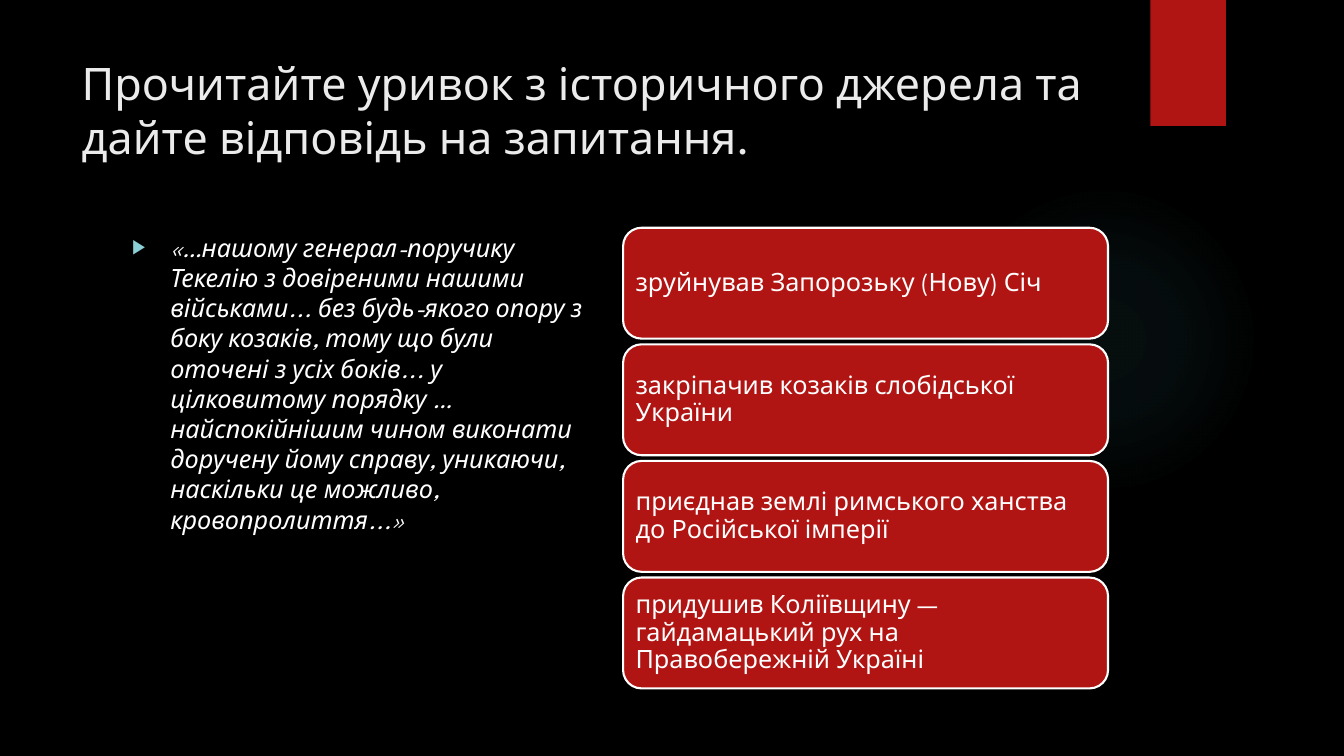
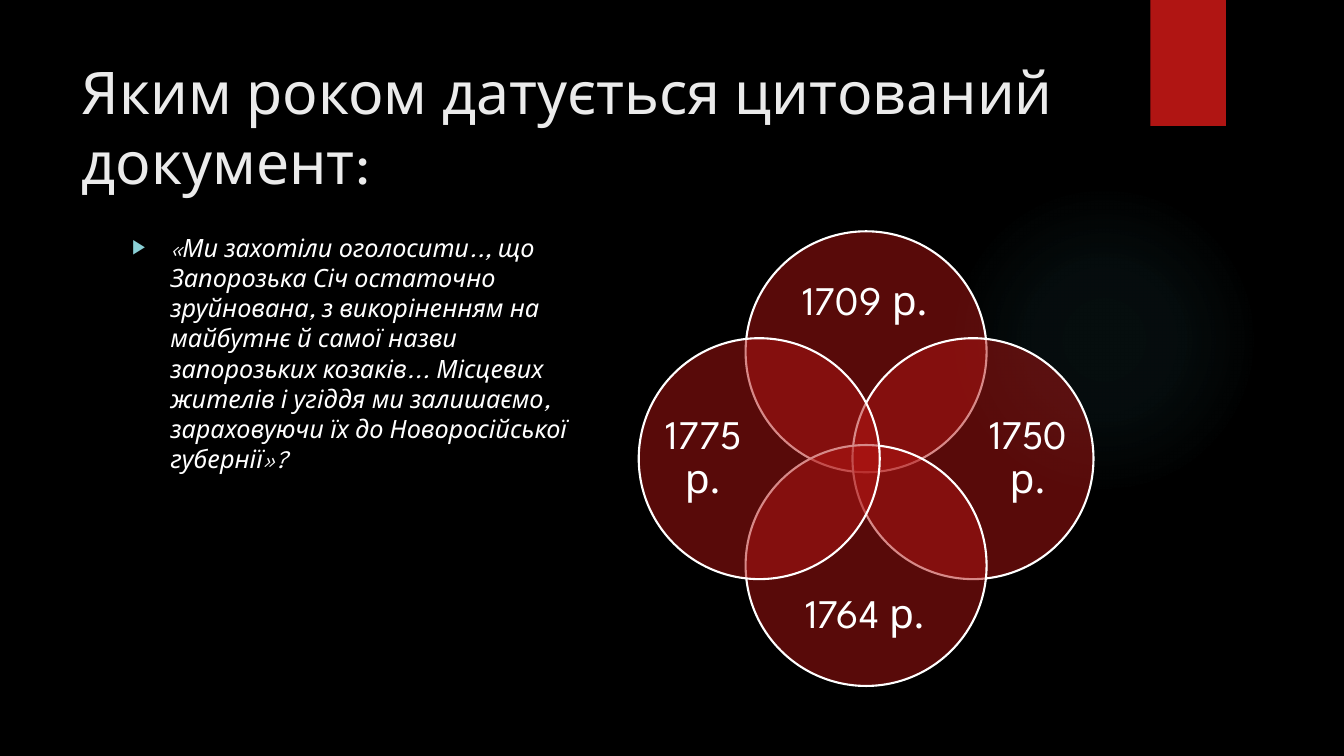
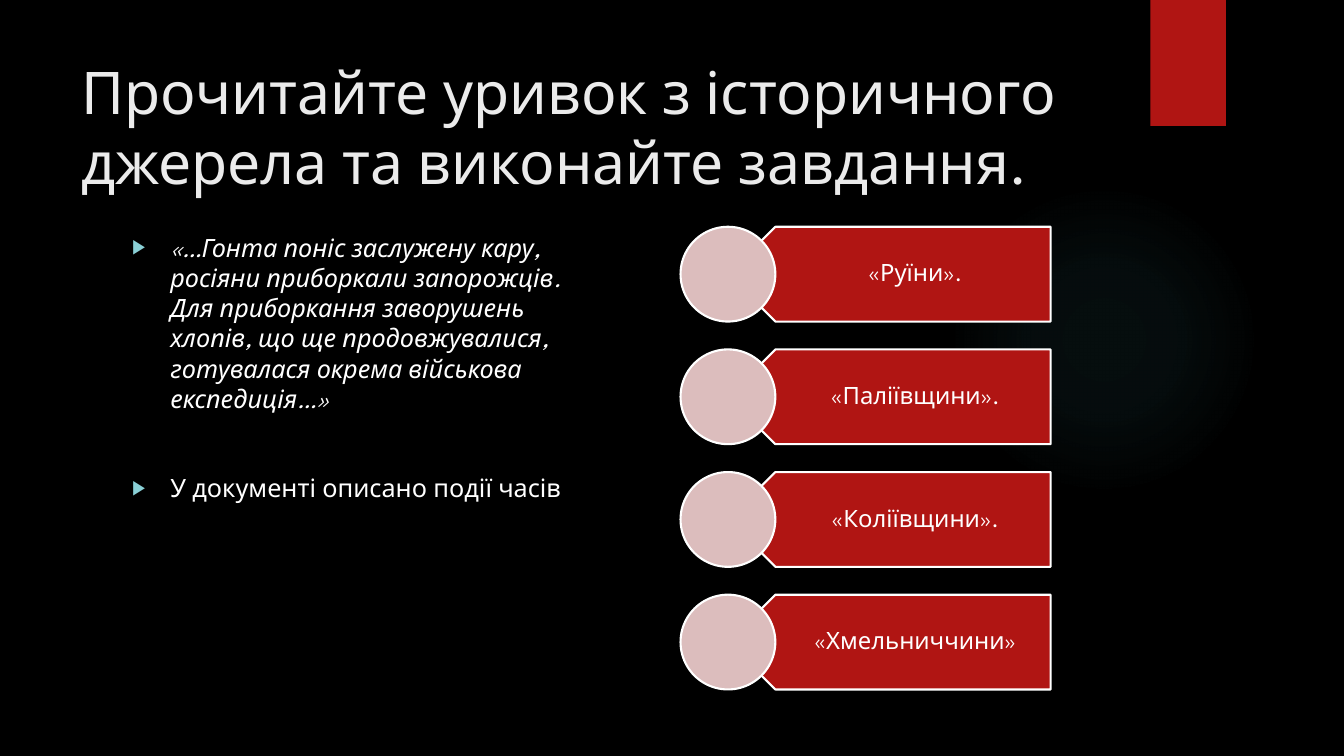
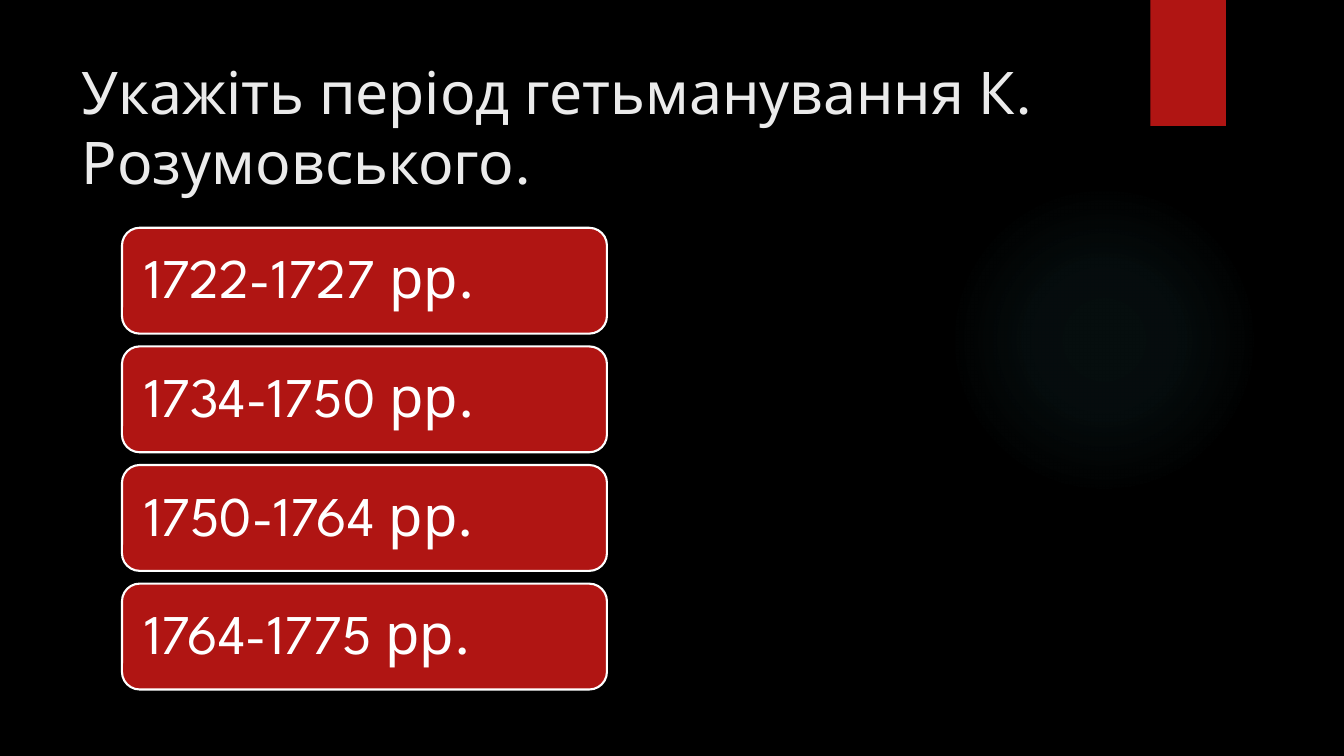
from dataclasses import dataclass

from pptx import Presentation
from pptx.dml.color import RGBColor
from pptx.enum.shapes import MSO_SHAPE as SHAPE
from pptx.enum.text import MSO_ANCHOR as ANCHOR, MSO_AUTO_SIZE as AUTO_SIZE, PP_ALIGN as ALIGN
from pptx.oxml import parse_xml
from pptx.oxml.ns import nsdecls, qn
from pptx.util import Inches, Pt


@dataclass(frozen=True)
class Theme:
    font: str = "League Spartan"
    black: str = "000000"
    white: str = "FFFFFF"
    title: str = "EBEBEB"
    red: str = "B01513"
    pink: str = "DCBDBD"
    glow: str = "50B9C1"
    bullet: str = "8AD0D6"
    title_size: int = 42
    long_title_size: int = 32
    body_size: int = 18
    plate_size: int = 17
    year_size: int = 29
    period_size: int = 40
    outline: float = 1.5


THEME = Theme()
TITLE_LAYOUT, CONTENT_LAYOUT = 5, 1


def rgb(color):
    return RGBColor.from_string(color)


def box(*lengths):
    return [Inches(n) for n in lengths]


def spread(items, top, bottom, height):
    step = (bottom - top - height) / (len(items) - 1)
    return [(item, top + i * step) for i, item in enumerate(items)]


class Deck:
    def __init__(self, theme):
        self.theme = theme
        self.prs = Presentation()
        self.prs.slide_width, self.prs.slide_height = box(13.33, 7.5)
        fill = self.prs.slide_master.background.fill
        fill.solid()
        fill.fore_color.rgb = rgb(theme.black)
        self.slide = None

    def new_slide(self, layout, title, size):
        self.slide = self.prs.slides.add_slide(self.prs.slide_layouts[layout])
        self.glow()
        self.shape(SHAPE.RECTANGLE, 11.41, 0, 0.75, 1.25, self.theme.red, outlined=False)
        tf = self.placeholder(self.slide.shapes.title, 0.71, 0.5, 10.29, 1.53)
        tf.text = title
        tf.paragraphs[0].alignment = ALIGN.LEFT
        self.style(tf.paragraphs[0], size, self.theme.title)

    def placeholder(self, sp, *place):
        sp.left, sp.top, sp.width, sp.height = box(*place)
        tf = sp.text_frame
        tf.auto_size = AUTO_SIZE.NONE
        tf.vertical_anchor = ANCHOR.TOP
        return tf

    def style(self, p, size, color, italic=False):
        for r in p.runs:
            r.font.name = self.theme.font
            r.font.size = Pt(size)
            r.font.color.rgb = rgb(color)
            r.font.italic = italic

    def shape(self, kind, left, top, width, height, color, outlined=True, alpha=None):
        sp = self.slide.shapes.add_shape(kind, *box(left, top, width, height))
        sp.shadow.inherit = False
        sp.fill.solid()
        sp.fill.fore_color.rgb = rgb(color)
        if alpha is not None:
            clr = sp._element.spPr.find(qn("a:solidFill"))[0]
            clr.append(parse_xml(f'<a:alpha {nsdecls("a")} val="{alpha * 1000}"/>'))
        if outlined:
            sp.line.color.rgb = rgb(self.theme.white)
            sp.line.width = Pt(self.theme.outline)
        else:
            sp.line.fill.background()
        return sp

    def glow(self):
        sp = self.shape(SHAPE.OVAL, 9.41, 1.83, 3.08, 3.08, self.theme.glow, outlined=False)
        stops = "".join(
            f'<a:gs pos="{pos * 1000}"><a:srgbClr val="{self.theme.glow}">'
            f'<a:alpha val="{alpha * 1000}"/></a:srgbClr></a:gs>'
            for pos, alpha in ((0, 7), (36, 6), (69, 0), (100, 0)))
        gradient = parse_xml(
            f'<a:gradFill {nsdecls("a")} rotWithShape="1"><a:gsLst>{stops}</a:gsLst>'
            '<a:path path="circle"><a:fillToRect l="50000" t="50000" r="50000" b="50000"/>'
            '</a:path></a:gradFill>')
        spPr = sp._element.spPr
        spPr.replace(spPr.find(qn("a:solidFill")), gradient)

    def bullets(self, *items):
        tf = self.placeholder(self.slide.placeholders[1], 1.21, 2.25, 4.81, 4.59)
        for i, (text, italic) in enumerate(items):
            p = tf.add_paragraph() if i else tf.paragraphs[0]
            p.text = text
            pPr = p._p.get_or_add_pPr()
            pPr.set("marL", str(Inches(0.38)))
            pPr.set("indent", str(-Inches(0.38)))
            for xml in (f'<a:buClr {nsdecls("a")}><a:srgbClr val="{self.theme.bullet}"/></a:buClr>',
                        f'<a:buSzPct {nsdecls("a")} val="80000"/>',
                        f'<a:buFont {nsdecls("a")} typeface="Arial"/>',
                        f'<a:buChar {nsdecls("a")} char="▶"/>'):
                pPr.append(parse_xml(xml))
            p.space_before = Pt(42 if i else 0)
            self.style(p, self.theme.body_size, self.theme.white, italic)

    def put_text(self, sp, text, size, align, insets):
        tf = sp.text_frame
        tf.word_wrap = True
        tf.vertical_anchor = ANCHOR.MIDDLE
        tf.margin_left, tf.margin_top, tf.margin_right, tf.margin_bottom = box(*insets)
        tf.text = text
        p = tf.paragraphs[0]
        p.alignment = align
        p.line_spacing = 0.9
        self.style(p, size, self.theme.white)

    def label(self, place, text, size, insets=(0, 0, 0, 0)):
        sp = self.slide.shapes.add_textbox(*box(*place))
        self.put_text(sp, text, size, ALIGN.CENTER, insets)

    def cards(self, texts, left, bottom, height, size, inset):
        for text, top in spread(texts, 2.26, bottom, height):
            sp = self.shape(SHAPE.ROUNDED_RECTANGLE, left, top, 4.81, height, self.theme.red)
            self.put_text(sp, text, size, ALIGN.LEFT, [inset] * 4)

    def venn(self, years):
        cx, cy, d, offset = 8.59, 4.55, 2.39, 1.06
        for text, (dx, dy) in zip(years, ((0, -1), (1, 0), (0, 1), (-1, 0))):
            self.shape(SHAPE.OVAL, cx + dx * offset - d / 2, cy + dy * offset - d / 2, d, d,
                       self.theme.red, alpha=50)
            w, h, reach = (0.92, 1.84, 1.61) if dx else (1.84, 0.76, 1.55)
            self.label((cx + dx * reach - w / 2, cy + dy * reach - h / 2, w, h),
                       text, self.theme.year_size)

    def plates(self, texts):
        d = 0.94
        for text, top in spread(texts, 2.25, 6.84, d):
            plate = self.shape(SHAPE.PENTAGON, 7.22, top, 3.2, d, self.theme.red)
            plate.rotation = 180
            self.label((7.46, top, 2.96, d), text, self.theme.plate_size, (0.41, 0.07, 0.13, 0.07))
            self.shape(SHAPE.OVAL, 6.75, top, d, d, self.theme.pink)


def main():
    deck = Deck(THEME)

    deck.new_slide(CONTENT_LAYOUT,
                   "Прочитайте уривок з історичного джерела та дайте відповідь на запитання.",
                   THEME.long_title_size)
    deck.bullets((
        "«…нашому генерал-поручику Текелію з довіреними нашими військами... без будь-якого опору "
        "з боку козаків, тому що були оточені з усіх боків... у цілковитому порядку "
        "…найспокійнішим чином виконати доручену йому справу, уникаючи, наскільки це можливо, "
        "кровопролиття...»", True))
    deck.cards(("зруйнував Запорозьку (Нову) Січ",
                "закріпачив козаків слобідської України",
                "приєднав землі римського ханства до Російської імперії",
                "придушив Коліївщину — гайдамацький рух на Правобережній Україні"),
               6.18, 6.83, 1.1, THEME.body_size, 0.07)

    deck.new_slide(CONTENT_LAYOUT, "Яким роком датується цитований документ:", THEME.title_size)
    deck.bullets((
        "«Ми захотіли оголосити.., що Запорозька Січ остаточно зруйнована, з викоріненням на "
        "майбутнє й самої назви запорозьких козаків... Місцевих жителів і угіддя ми залишаємо, "
        "зараховуючи їх до Новоросійської губернії»?", True))
    deck.venn(("1709 р.", "1750 р.", "1764 р.", "1775 р."))

    deck.new_slide(CONTENT_LAYOUT,
                   "Прочитайте уривок з історичного джерела та виконайте завдання.",
                   THEME.title_size)
    deck.bullets((
        "«…Гонта поніс заслужену кару, росіяни приборкали запорожців. Для приборкання заворушень "
        "хлопів, що ще продовжувалися, готувалася окрема військова експедиція…»", True),
        ("У документі описано події часів", False))
    deck.plates(("«Руїни».", "«Паліївщини».", "«Коліївщини».", "«Хмельниччини»"))

    deck.new_slide(TITLE_LAYOUT, "Укажіть період гетьманування К. Розумовського.",
                   THEME.title_size)
    deck.cards(("1722-1727 рр.", "1734-1750 рр.", "1750-1764 рр.", "1764-1775 рр."),
               1.21, 6.84, 1.05, THEME.period_size, 0.17)

    deck.prs.save("out.pptx")


if __name__ == "__main__":
    main()
